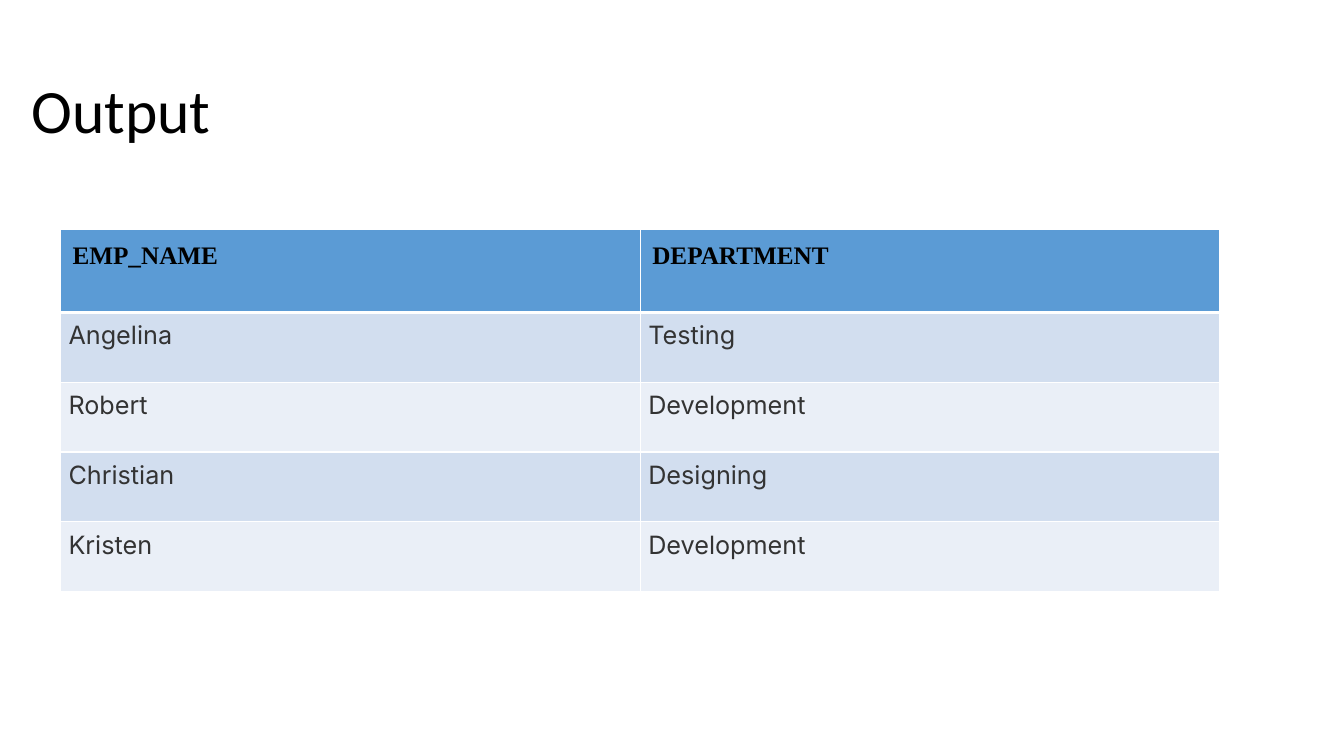
from lxml.etree import SubElement
from pptx import Presentation
from pptx.dml.color import RGBColor
from pptx.enum.text import MSO_ANCHOR, PP_ALIGN
from pptx.oxml.ns import qn
from pptx.util import Inches, Pt

STAFF = [
    ("EMP_NAME", "DEPARTMENT"),
    ("Angelina", "Testing"),
    ("Robert", "Development"),
    ("Christian", "Designing"),
    ("Kristen", "Development"),
]
BANDS = ("EAEFF7", "D2DEEF")


def color(code):
    return RGBColor.from_string(code)


def style(par, face, size, code, bold=False):
    font = par.font
    font.name, font.size, font.bold = face, Pt(size), bold
    font.color.rgb = color(code)


def edge(cell, side, width, code):
    line = SubElement(cell._tc.get_or_add_tcPr(), qn(f"a:ln{side}"), w=str(Pt(width)))
    fill = SubElement(line, qn("a:solidFill"))
    SubElement(fill, qn("a:srgbClr"), val=code)


def add_title(slide, box, text):
    title = slide.shapes.title
    title.left, title.top, title.width, title.height = map(Inches, box)
    frame = title.text_frame
    frame.text = text
    frame.vertical_anchor = MSO_ANCHOR.MIDDLE
    par = frame.paragraphs[0]
    par.alignment = PP_ALIGN.LEFT
    par.line_spacing = 0.9
    style(par, "Calibri", 44, "000000")


def fill_cell(cell, text, row):
    head = row == 0
    for side in "LRTB":
        thick = (head and side == "B") or (row == 1 and side == "T")
        edge(cell, side, 3 if thick else 1, "FFFFFF")
    cell.fill.solid()
    cell.fill.fore_color.rgb = color("5B9BD5" if head else BANDS[row % 2])
    pad = Inches(0.12 if head else 0.08)
    cell.margin_left = cell.margin_right = pad
    cell.margin_top = cell.margin_bottom = pad
    cell.text = text
    par = cell.text_frame.paragraphs[0]
    if head:
        style(par, "Times New Roman", 18, "000000", True)
    else:
        par.alignment = PP_ALIGN.JUSTIFY
        style(par, "Inter", 18, "333333")


def add_staff(slide, box, data, top):
    rows, cols = len(data), len(data[0])
    left, y, width, height = box
    table = slide.shapes.add_table(rows, cols, *map(Inches, box)).table
    for col in table.columns:
        col.width = Inches(width / cols)
    for i, line in enumerate(data):
        table.rows[i].height = Inches(top if i == 0 else (height - top) / (rows - 1))
        for j, text in enumerate(line):
            fill_cell(table.cell(i, j), text, i)


def main():
    deck = Presentation()
    deck.slide_width, deck.slide_height = Inches(13.33), Inches(7.5)
    slide = deck.slides.add_slide(deck.slide_layouts[5])
    slide.background.fill.solid()
    slide.background.fill.fore_color.rgb = color("FFFFFF")
    add_title(slide, (0.21, 0.4, 12.21, 1.45), "Output")
    add_staff(slide, (0.6, 2.28, 11.5, 3.59), STAFF, 0.82)
    deck.save("out.pptx")


if __name__ == "__main__":
    main()
